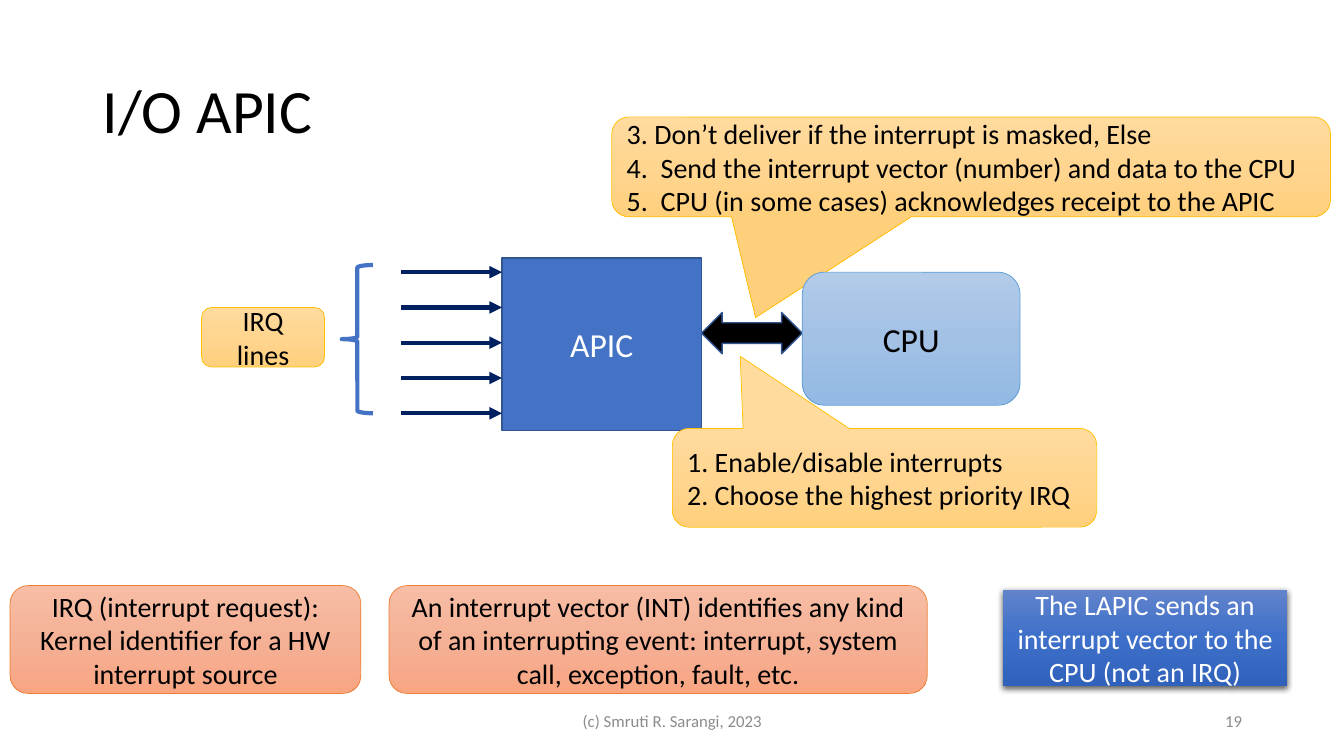
import copy
import dataclasses
import typing

import lxml.etree
import pptx
import pptx.dml.color
import pptx.enum.shapes
import pptx.enum.text
import pptx.oxml.ns
import pptx.util

RGB = pptx.dml.color.RGBColor
SHAPE = pptx.enum.shapes.MSO_SHAPE
ALIGN = pptx.enum.text.PP_ALIGN
qn = pptx.oxml.ns.qn

BLACK = RGB(0x00, 0x00, 0x00)
WHITE = RGB(0xFF, 0xFF, 0xFF)
GREY = RGB(0x8C, 0x8C, 0x8C)
NAVY = RGB(0x00, 0x20, 0x60)
BLUE = RGB(0x44, 0x72, 0xC4)
DARK_BLUE = RGB(0x32, 0x54, 0x91)
SKY = RGB(0x5B, 0x9B, 0xD5)
GOLD = RGB(0xFF, 0xC0, 0x00)
ORANGE = RGB(0xED, 0x7D, 0x31)

# Gradients from top to bottom
GOLD_FADE = (RGB(0xFF, 0xDB, 0x9E), RGB(0xFF, 0xD5, 0x90), RGB(0xFF, 0xD0, 0x7C))
ORANGE_FADE = (RGB(0xF7, 0xBD, 0xA5), RGB(0xF5, 0xB1, 0x96), RGB(0xF8, 0xA5, 0x82))
BLUE_FADE = (RGB(0x61, 0x83, 0xCB), RGB(0x3E, 0x70, 0xCA), RGB(0x30, 0x62, 0xBB))
SKY_FADE = (RGB(0xB1, 0xCB, 0xE9), RGB(0xA3, 0xC1, 0xE5), RGB(0x93, 0xB9, 0xE4))

# The page is a grid of square cells, ten to the inch
CELL = pptx.util.Inches(0.1)
COLUMNS, ROWS = 133.33, 75


class Area(typing.NamedTuple):
    column: float
    row: float
    columns: float
    rows: float

    def lengths(self) -> list[int]:
        return [round(value * CELL) for value in self]


@dataclasses.dataclass
class Block:
    kind: SHAPE
    area: Area
    lines: tuple[str, ...] = ()
    fill: tuple[RGB, ...] = ()
    outline: RGB | None = None
    outline_width: float = 0.5
    size: float = 20
    color: RGB = BLACK
    align: ALIGN = ALIGN.CENTER
    adjustments: tuple[float, ...] = ()
    shadow: bool = False


CALLOUT = SHAPE.ROUNDED_RECTANGULAR_CALLOUT
ROUNDED = SHAPE.ROUNDED_RECTANGLE

BLOCKS = [
    # Interrupt controller and its inputs
    Block(SHAPE.RECTANGLE, Area(49.8, 25.6, 19.8, 17.1), ("APIC",), (BLUE,), DARK_BLUE, 1,
          size=24, color=WHITE),
    Block(SHAPE.LEFT_BRACE, Area(33.9, 26.3, 3.1, 14.7), outline=BLUE, outline_width=3),
    Block(ROUNDED, Area(20, 30.5, 12.2, 5.9), ("IRQ lines",), GOLD_FADE, GOLD),
    # Numbered steps
    Block(CALLOUT, Area(66.7, 42.5, 42.1, 9.8),
          ("1. Enable/disable interrupts", "2. Choose the highest priority IRQ"),
          GOLD_FADE, GOLD, align=ALIGN.LEFT, adjustments=(-0.34, -1.23, 0.17)),
    Block(CALLOUT, Area(60.7, 11.6, 71.3, 9.9),
          ("3. Don’t deliver if the interrupt is masked, Else",
           "4.  Send the interrupt vector (number) and data to the CPU",
           "5.  CPU (in some cases) acknowledges receipt to the APIC"),
          GOLD_FADE, GOLD, align=ALIGN.LEFT, adjustments=(-0.3, 1.51, 0.17)),
    # Definitions
    Block(ROUNDED, Area(1, 58.1, 34.8, 10.7),
          ("IRQ (interrupt request): Kernel identifier for a HW interrupt source",),
          ORANGE_FADE, ORANGE),
    Block(ROUNDED, Area(38.6, 58.1, 53.4, 10.7),
          ("An interrupt vector (INT) identifies any kind of an interrupting event: "
           "interrupt, system call, exception, fault, etc.",),
          ORANGE_FADE, ORANGE),
    Block(SHAPE.RECTANGLE, Area(99.5, 58.5, 28.2, 9.6),
          ("The LAPIC sends an interrupt vector to the CPU (not an IRQ)",),
          BLUE_FADE, color=WHITE, shadow=True),
    # Processor and its link
    Block(SHAPE.LEFT_RIGHT_ARROW, Area(69.6, 31, 10, 4.1), (), (BLACK,), DARK_BLUE, 1),
    Block(ROUNDED, Area(79.6, 27, 21.6, 13.2), ("CPU",), SKY_FADE, SKY, size=24),
]


def write_text(box, lines: typing.Sequence[str], *, size: float, color: RGB,
               align: ALIGN = ALIGN.LEFT, line_spacing: float | None = None) -> None:
    frame = box.text_frame
    frame.word_wrap = True
    frame.vertical_anchor = pptx.enum.text.MSO_ANCHOR.MIDDLE
    for index, line in enumerate(lines):
        para = frame.add_paragraph() if index else frame.paragraphs[0]
        para.alignment = align
        para.line_spacing = line_spacing
        span = para.add_run()
        span.text = line
        span.font.name = "Calibri"
        span.font.size = pptx.util.Pt(size)
        span.font.color.rgb = color


def add_label(page, area: Area, text: str, **text_format) -> None:
    write_text(page.shapes.add_textbox(*area.lengths()), [text], **text_format)


def paint_fill(shape, colors: tuple[RGB, ...]) -> None:
    if not colors:
        shape.fill.background()
    elif len(colors) == 1:
        shape.fill.solid()
        shape.fill.fore_color.rgb = colors[0]
    else:
        shape.fill.gradient()
        shape.fill.gradient_angle = 270
        stop_list = shape.element.spPr.find(qn("a:gradFill")).find(qn("a:gsLst"))
        stop_list.insert(1, copy.deepcopy(stop_list[0]))
        for index, (stop, color) in enumerate(zip(shape.fill.gradient_stops, colors)):
            stop.position = index / (len(colors) - 1)
            stop.color.rgb = color


def add_shadow(shape) -> None:
    effects = shape.element.spPr.find(qn("a:effectLst"))
    shadow = lxml.etree.SubElement(
        effects, qn("a:outerShdw"), blurRad=str(pptx.util.Pt(4.5)),
        dist=str(pptx.util.Pt(1.5)), dir="5400000", algn="ctr", rotWithShape="0")
    color = lxml.etree.SubElement(shadow, qn("a:srgbClr"), val=str(BLACK))
    lxml.etree.SubElement(color, qn("a:alpha"), val="63000")


def add_block(page, block: Block) -> None:
    shape = page.shapes.add_shape(block.kind, *block.area.lengths())
    for index, value in enumerate(block.adjustments):
        shape.adjustments[index] = value
    paint_fill(shape, block.fill)
    if block.outline is None:
        shape.line.fill.background()
    else:
        shape.line.color.rgb = block.outline
        shape.line.width = pptx.util.Pt(block.outline_width)
    shape.shadow.inherit = False
    if block.shadow:
        add_shadow(shape)
    write_text(shape, block.lines, size=block.size, color=block.color, align=block.align)


def add_arrow(page, start: float, end: float, row: float) -> None:
    left, right, height = (round(value * CELL) for value in (start, end, row))
    arrow = page.shapes.add_connector(
        pptx.enum.shapes.MSO_CONNECTOR.STRAIGHT, left, height, right, height)
    arrow.line.color.rgb = NAVY
    arrow.line.width = pptx.util.Pt(3)
    properties = arrow.element.spPr
    lxml.etree.SubElement(properties.find(qn("a:ln")), qn("a:tailEnd"), type="triangle")
    lxml.etree.SubElement(properties, qn("a:effectLst"))


def main() -> None:
    deck = pptx.Presentation()
    deck.slide_width = round(COLUMNS * CELL)
    deck.slide_height = ROWS * CELL
    page = deck.slides.add_slide(deck.slide_layouts[6])

    # Title and footer
    add_label(page, Area(9.2, 4, 115, 14.5), "I/O APIC", size=44, color=BLACK,
              line_spacing=0.9)
    add_label(page, Area(44.2, 69.5, 45, 4), "(c) Smruti R. Sarangi, 2023", size=12,
              color=GREY, align=ALIGN.CENTER)
    add_label(page, Area(94.2, 69.5, 30, 4), "19", size=12, color=GREY, align=ALIGN.RIGHT)

    # Diagram
    for block in BLOCKS:
        add_block(page, block)
    for index in range(5):
        add_arrow(page, 39.8, 49.8, 27 + 3.5 * index)

    deck.save("out.pptx")


if __name__ == "__main__":
    main()
